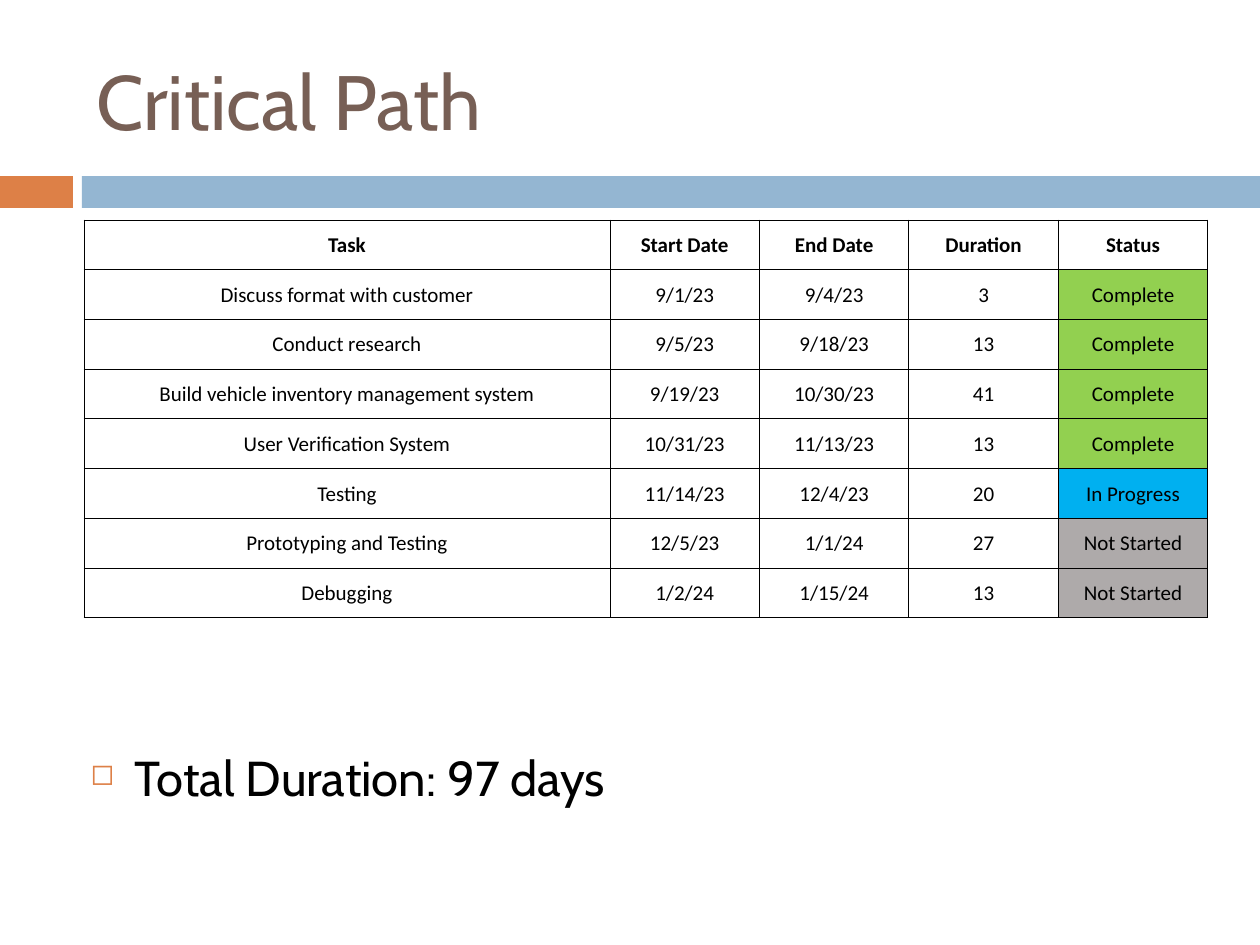
import pptx
import pptx.dml.color
import pptx.enum.shapes
import pptx.enum.text
import pptx.oxml
import pptx.oxml.ns
import pptx.util

TITLE = "Critical Path"
TOTAL = "Total Duration: 97 days"
HEADINGS = ("Task", "Start Date", "End Date", "Duration", "Status")
TASKS = [
    ("Discuss format with customer", "9/1/23", "9/4/23", "3", "Complete"),
    ("Conduct research", "9/5/23", "9/18/23", "13", "Complete"),
    ("Build vehicle inventory management system", "9/19/23", "10/30/23", "41", "Complete"),
    ("User Verification System", "10/31/23", "11/13/23", "13", "Complete"),
    ("Testing", "11/14/23", "12/4/23", "20", "In Progress"),
    ("Prototyping and Testing", "12/5/23", "1/1/24", "27", "Not Started"),
    ("Debugging", "1/2/24", "1/15/24", "13", "Not Started"),
]

THEME = {
    "accent": "DD8047",
    "band": "94B6D2",
    "title": {"name": "Cabin", "size": 44, "color": "775F55", "bold": False},
    "total": {"name": "Cabin", "size": 28, "color": "000000", "bold": False},
    "heading": {"name": "Calibri", "size": 12, "color": "000000", "bold": True},
    "entry": {"name": "Calibri", "size": 12, "color": "000000", "bold": False},
    "grid": {"color": "000000", "width": 0.5},
    "status": {"Complete": "92D050", "In Progress": "00B0F0", "Not Started": "AEAAAA"},
}

PX_PER_INCH = 126
BANDS = [((0, 176, 73, 32), THEME["accent"]), ((82, 176, 1178, 32), THEME["band"])]
TITLE_BOX = (84, 32, 1124, 136)
TOTAL_BOX = (78, 741, 1134, 96)
TABLE_BOX = (84, 220, 1124, 398)
TASK_WIDTH = 526
BULLET_INDENT = 44
CELL_MARGINS = {"margin_left": 1, "margin_right": 1, "margin_top": 1, "margin_bottom": 0}


def px(length):
    return pptx.util.Emu(round(length * 914400 / PX_PER_INCH))


def place(box):
    return [px(length) for length in box]


def rgb(code):
    return pptx.dml.color.RGBColor.from_string(code)


def write(paragraph, text, look, alignment):
    paragraph.alignment = alignment
    run = paragraph.add_run()
    run.text = text
    settings = {"name": look["name"], "size": pptx.util.Pt(look["size"]), "bold": look["bold"]}
    for key, value in settings.items():
        setattr(run.font, key, value)
    run.font.color.rgb = rgb(look["color"])


def add_line_of_text(slide, box, text, look, anchor, alignment):
    frame = slide.shapes.add_textbox(*place(box)).text_frame
    frame.word_wrap = True
    frame.vertical_anchor = anchor
    write(frame.paragraphs[0], text, look, alignment)
    return frame.paragraphs[0]


def add_bullet(paragraph):
    properties = paragraph._p.get_or_add_pPr()
    properties.set("marL", str(px(BULLET_INDENT)))
    properties.set("indent", str(-px(BULLET_INDENT)))
    namespace = pptx.oxml.ns.nsdecls("a")
    for xml in (
        f'<a:buClr {namespace}><a:srgbClr val="{THEME["accent"]}"/></a:buClr>',
        f'<a:buSzPct {namespace} val="60000"/>',
        f'<a:buChar {namespace} char="◻"/>',
    ):
        properties.append(pptx.oxml.parse_xml(xml))


def add_borders(cell):
    grid = THEME["grid"]
    for side in ("lnL", "lnR", "lnT", "lnB"):
        cell._tc.get_or_add_tcPr().append(pptx.oxml.parse_xml(
            f'<a:{side} {pptx.oxml.ns.nsdecls("a")} w="{pptx.util.Pt(grid["width"])}">'
            f'<a:solidFill><a:srgbClr val="{grid["color"]}"/></a:solidFill></a:{side}>'
        ))


def fill_cell(cell, text, look):
    for key, value in CELL_MARGINS.items():
        setattr(cell, key, px(value))
    cell.vertical_anchor = pptx.enum.text.MSO_ANCHOR.MIDDLE
    write(cell.text_frame.paragraphs[0], text, look, pptx.enum.text.PP_ALIGN.CENTER)
    add_borders(cell)
    if text in THEME["status"]:
        cell.fill.solid()
        cell.fill.fore_color.rgb = rgb(THEME["status"][text])
    else:
        cell.fill.background()


def add_schedule(slide):
    entries = [HEADINGS, *TASKS]
    schedule = slide.shapes.add_table(len(entries), len(HEADINGS), *place(TABLE_BOX)).table
    schedule.first_row = schedule.horz_banding = False
    detail_width = (TABLE_BOX[2] - TASK_WIDTH) / (len(HEADINGS) - 1)
    for index, column in enumerate(schedule.columns):
        column.width = px(detail_width if index else TASK_WIDTH)
    for index, (row, entry) in enumerate(zip(schedule.rows, entries)):
        row.height = px(TABLE_BOX[3] / len(entries))
        for cell, text in zip(row.cells, entry):
            fill_cell(cell, text, THEME["entry" if index else "heading"])


def main():
    deck = pptx.Presentation()
    deck.slide_width, deck.slide_height = px(1260), px(945)
    slide = deck.slides.add_slide(deck.slide_layouts[6])
    for box, color in BANDS:
        band = slide.shapes.add_shape(pptx.enum.shapes.MSO_SHAPE.RECTANGLE, *place(box))
        band.shadow.inherit = False
        band.fill.solid()
        band.fill.fore_color.rgb = rgb(color)
        band.line.fill.background()
    anchors, alignments = pptx.enum.text.MSO_ANCHOR, pptx.enum.text.PP_ALIGN
    add_line_of_text(slide, TITLE_BOX, TITLE, THEME["title"], anchors.MIDDLE, alignments.LEFT)
    total = add_line_of_text(
        slide, TOTAL_BOX, TOTAL, THEME["total"], anchors.TOP, alignments.JUSTIFY
    )
    add_bullet(total)
    add_schedule(slide)
    deck.save("out.pptx")


if __name__ == "__main__":
    main()
